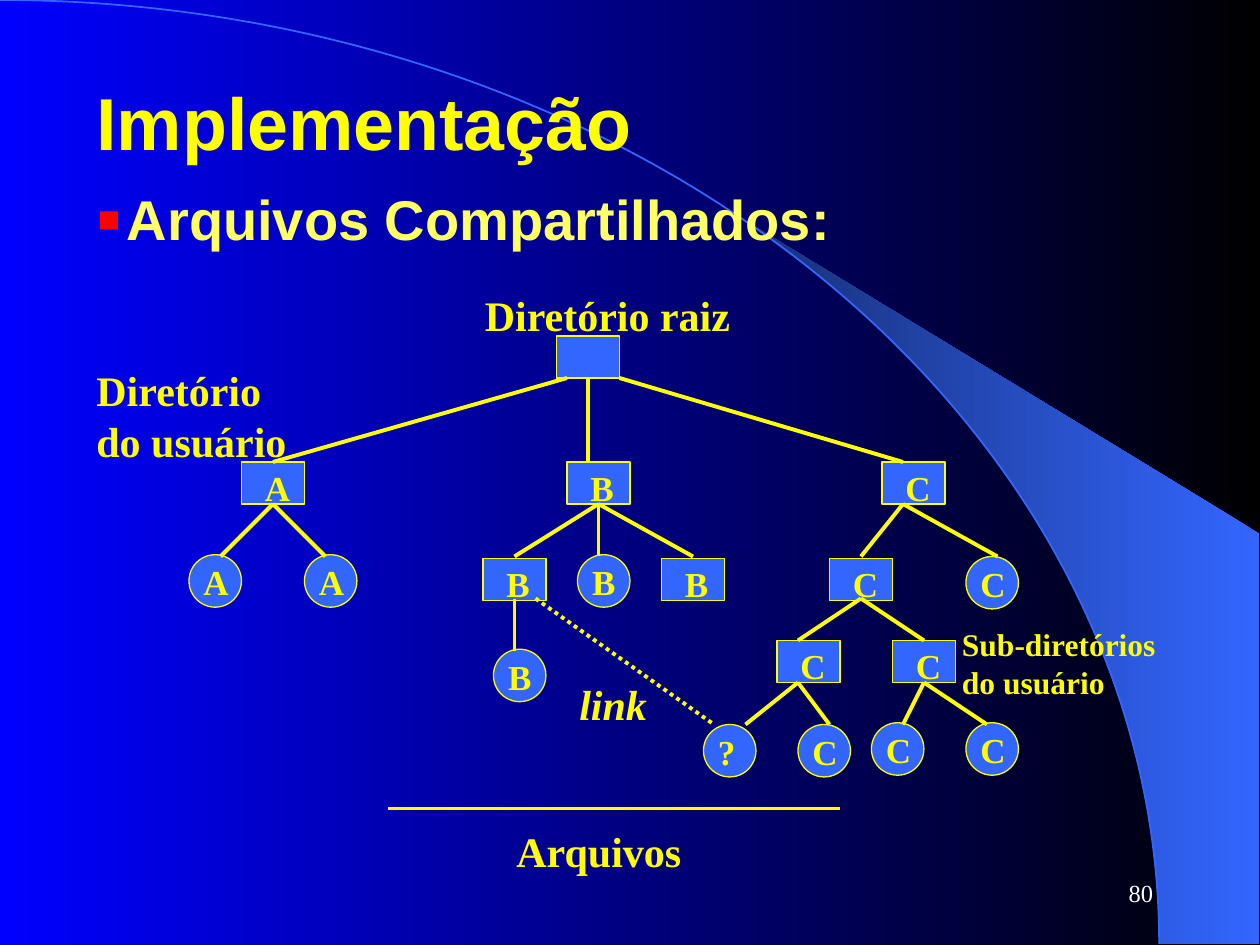
import math

from lxml import etree
from pptx import Presentation
from pptx import util as u
from pptx.dml.color import RGBColor
from pptx.enum import dml, shapes, text
from pptx.oxml import ns

YELLOW, BLUE = "FFFF00", "3366FF"
SERIF, SANS = "Times New Roman", "Arial"
ARC_WIDTH, ARC_HEIGHT = 662.4, 539.3
LABEL_WIDTHS = {"B": 27.4, "?": 24.5}

DIRECTORIES = [
    ("", 318, 192), ("A", 138, 264), ("B", 324, 264), ("C", 504, 264),
    ("B", 276, 319), ("B", 378, 319), ("C", 474, 319),
    ("C", 444, 366), ("C", 510, 366),
]
FILES = [
    ("A", 108, 317), ("A", 174, 317), ("B", 330, 317), ("C", 552, 318),
    ("B", 282, 371), ("?", 402, 414), ("C", 456, 414),
    ("C", 498, 413), ("C", 552, 413),
]
BRANCHES = [
    ((324, 216), [(156, 264)]),
    ((336, 216), [(336, 264)]),
    ((354, 216), [(516, 264)]),
    ((156, 288), [(126, 318), (186, 318)]),
    ((342, 288), [(294, 318), (342, 318), (396, 318)]),
    ((516, 288), [(492, 318), (570, 318)]),
    ((294, 342), [(294, 372)]),
    ((492, 342), [(456, 366), (528, 366)]),
    ((456, 390), [(426, 414), (474, 414)]),
    ((528, 390), [(516, 414), (564, 414)]),
]


def colour(value):
    return RGBColor.from_string(value)


def points(*values):
    return [u.Pt(value) for value in values]


def set_gradient(fill, start, end):
    fill.gradient()
    fill.gradient_angle = 180
    for stop, value in zip(fill.gradient_stops, (start, end)):
        stop.color.rgb = colour(value)


def write(box, content, size, value, font=SERIF, bold=True, italic=False,
          align=text.PP_ALIGN.LEFT):
    box.text_frame.text = content
    for para in box.text_frame.paragraphs:
        para.alignment = align
        para.font.size = u.Pt(size)
        para.font.name = font
        para.font.bold = bold
        para.font.italic = italic
        para.font.color.rgb = colour(value)


def add_label(page, content, left, top, width, height, size, italic=False):
    box = page.shapes.add_textbox(*points(left, top, width, height))
    box.text_frame.word_wrap = False
    box.text_frame.auto_size = text.MSO_AUTO_SIZE.SHAPE_TO_FIT_TEXT
    write(box, content, size, YELLOW, italic=italic)


def add_node(page, kind, left, top, width, height):
    node = page.shapes.add_shape(kind, *points(left, top, width, height))
    node.shadow.inherit = False
    node.fill.solid()
    node.fill.fore_color.rgb = colour(BLUE)
    node.line.color.rgb = colour(YELLOW)
    node.line.width = u.Pt(0.75)


def add_letter(page, letter, left, top):
    if letter:
        width = LABEL_WIDTHS.get(letter, 28.8)
        add_label(page, letter, left, top, width, 31.5, 20)


def add_line(page, start, end, width=2.25, dash=None):
    line = page.shapes.add_connector(
        shapes.MSO_CONNECTOR.STRAIGHT, *points(*start, *end))
    line.line.color.rgb = colour(YELLOW)
    line.line.width = u.Pt(width)
    if dash:
        line.line.dash_style = dash
    etree.SubElement(line._element.spPr, ns.qn("a:effectLst"))


def add_crescent(page):
    first = math.asin(0.64)
    angles = [first + (math.pi / 2 - first) * step / 24 for step in range(25)]
    curve = [points(ARC_WIDTH * math.sin(angle),
                    ARC_HEIGHT * (1 - math.cos(angle))) for angle in angles]
    corners = [points(719.3, ARC_HEIGHT), points(719.3, 304.6)]
    builder = page.shapes.build_freeform(*curve[0])
    builder.add_line_segments(curve[1:] + corners, close=True)
    crescent = builder.convert_to_shape()
    crescent.shadow.inherit = False
    set_gradient(crescent.fill, BLUE, "172F75")
    crescent.line.fill.background()


def add_arc(page):
    arc = page.shapes.add_shape(
        shapes.MSO_SHAPE.ARC,
        *points(-ARC_WIDTH, 0, 2 * ARC_WIDTH, 2 * ARC_HEIGHT))
    arc.shadow.inherit = False
    arc.fill.background()
    arc.line.color.rgb = colour(BLUE)
    arc.line.width = u.Pt(1)


def place(box, left, top, width, height, anchor):
    box.left, box.top, box.width, box.height = points(left, top, width, height)
    box.text_frame.vertical_anchor = anchor
    box.text_frame.auto_size = text.MSO_AUTO_SIZE.NONE
    box.text_frame.word_wrap = True


def add_title(page):
    title = page.shapes.title
    place(title, 48, 24, 648, 90, text.MSO_ANCHOR.MIDDLE)
    write(title, "Implementação", 42, YELLOW, SANS)
    page.shapes._spTree.append(title._element)


def add_topic(page):
    body = page.placeholders[1]
    place(body, 48, 102, 510, 92, text.MSO_ANCHOR.TOP)
    body.text_frame.text = "Arquivos Compartilhados:"
    para = body.text_frame.paragraphs[0]
    para.space_before = u.Pt(0)
    properties = para._p.get_or_add_pPr()
    properties.set("marL", str(u.Pt(17.3)))
    properties.set("indent", str(-u.Pt(17.3)))
    bullet_colour = etree.SubElement(properties, ns.qn("a:buClr"))
    etree.SubElement(bullet_colour, ns.qn("a:srgbClr"), val="FF0000")
    etree.SubElement(properties, ns.qn("a:buSzPct"), val="130000")
    etree.SubElement(properties, ns.qn("a:buChar"), char="▪")
    para.font.size = u.Pt(32)
    para.font.name = SANS
    para.font.bold = True
    para.font.color.rgb = colour("FFFF66")
    page.shapes._spTree.append(body._element)


def add_tree(page):
    for letter, left, top in DIRECTORIES:
        add_node(page, shapes.MSO_SHAPE.RECTANGLE, left, top, 36, 24)
        add_letter(page, letter, left + 6.3, top - 1)
    for letter, left, top in FILES:
        add_node(page, shapes.MSO_SHAPE.OVAL, left, top, 30, 30)
        add_letter(page, letter, left + 1.2, top)
    for start, ends in BRANCHES:
        for end in ends:
            add_line(page, start, end)
    add_line(page, (306, 342), (408, 414), dash=dml.MSO_LINE.ROUND_DOT)
    add_line(page, (222, 462), (480, 462), width=1.5)


def add_page_number(page):
    box = page.shapes.add_textbox(*points(516, 492, 150, 36))
    box.text_frame.word_wrap = True
    box.text_frame.vertical_anchor = text.MSO_ANCHOR.MIDDLE
    write(box, "80", 14, "FFFFFF", bold=False, align=text.PP_ALIGN.RIGHT)


def main():
    deck = Presentation()
    deck.slide_width, deck.slide_height = points(720, 540)
    page = deck.slides.add_slide(deck.slide_layouts[1])
    set_gradient(page.background.fill, "000000", "0000FF")
    add_crescent(page)
    add_arc(page)
    add_title(page)
    add_tree(page)
    add_label(page, "Diretório raiz", 270, 162, 155, 36, 24)
    add_label(page, "Diretório\ndo usuário", 48, 205, 123, 65, 24)
    add_label(page, "Sub-diretórios\ndo usuário", 542.6, 353.5, 125.5, 50, 18)
    add_label(page, "link", 324, 384, 53, 36, 24, italic=True)
    add_label(page, "Arquivos", 288, 468, 109, 36, 24)
    add_topic(page)
    add_page_number(page)
    deck.save("out.pptx")


if __name__ == "__main__":
    main()
